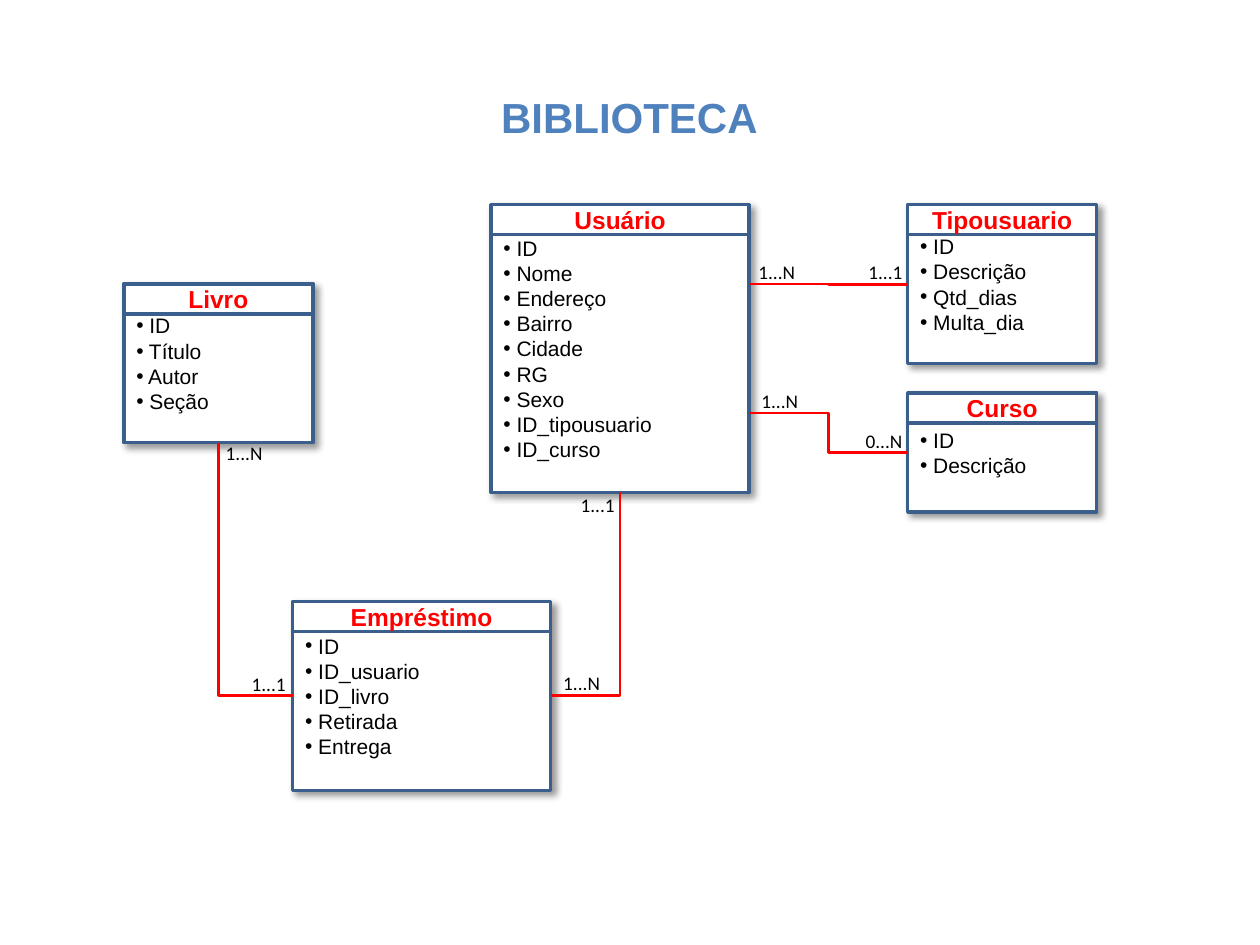
import pptx
import pptx.util
import pptx.dml.color
import pptx.enum.shapes
import pptx.enum.text
import pptx.oxml
import pptx.oxml.ns
import lxml.etree

Pt = pptx.util.Pt
RGBColor = pptx.dml.color.RGBColor
SHAPE = pptx.enum.shapes.MSO_SHAPE
ELBOW = pptx.enum.shapes.MSO_CONNECTOR.ELBOW
ALIGN = pptx.enum.text.PP_ALIGN
ANCHOR = pptx.enum.text.MSO_ANCHOR
AUTO_SIZE = pptx.enum.text.MSO_AUTO_SIZE
qn = pptx.oxml.ns.qn

WHITE = RGBColor(0xFF, 0xFF, 0xFF)
BLACK = RGBColor(0, 0, 0)
RED = RGBColor(0xFF, 0, 0)
NAVY = RGBColor(0x3A, 0x5F, 0x8C)
BLUE = RGBColor(0x4F, 0x81, 0xBD)

HEADER_HEIGHT = 17
ENTITIES = [
    ("Livro", 70.8, 162.3, 108, 90.7, ["ID", "Título", "Autor", "Seção"]),
    ("Usuário", 280.6, 117, 147.5, 164.4,
     ["ID", "Nome", "Endereço", "Bairro", "Cidade", "RG", "Sexo",
      "ID_tipousuario", "ID_curso"]),
    ("Empréstimo", 167.3, 343.8, 147.4, 107.8,
     ["ID", "ID_usuario", "ID_livro", "Retirada", "Entrega"]),
    ("Tipousuario", 518.7, 117, 108, 90.7,
     ["ID", "Descrição", "Qtd_dias", "Multa_dia"]),
    ("Curso", 518.7, 224.6, 108, 68, ["ID", "Descrição"]),
]
RELATIONS = [
    ("bentConnector2", 314.7, 397.6, 354.3, 281.4),
    ("bentConnector2", 167.3, 397.6, 124.8, 253),
    ("bentConnector3", 518.7, 162.6, 428.1, 162.3),
    ("bentConnector3", 518.7, 258.6, 428.1, 236),
]
CARDINALITIES = [
    ("1...N", 121.9, 248.4), ("1...N", 314.8, 380.2),
    ("1...N", 428, 218.9), ("1...N", 426.3, 145.4),
    ("0...N", 487.6, 241.9), ("1...1", 489.1, 145.4),
    ("1...1", 324.7, 278.6), ("1...1", 136.7, 380.5),
]


def format_text(tf, font, size, color, bold=False, align=ALIGN.LEFT):
    for p in tf.paragraphs:
        p.alignment = align
        for r in p.runs:
            r.font.name = font
            r.font.size = Pt(size)
            r.font.bold = bold
            r.font.color.rgb = color


def add_shadow(sp):
    effects = sp._element.spPr.find(qn("a:effectLst"))
    shadow = lxml.etree.SubElement(
        effects, qn("a:outerShdw"), blurRad=str(Pt(4)), dist=str(Pt(3)),
        dir="2700000", algn="tl", rotWithShape="0")
    color = lxml.etree.SubElement(shadow, qn("a:srgbClr"), val=str(BLACK))
    lxml.etree.SubElement(color, qn("a:alpha"), val="40000")


def add_bullet(p):
    pPr = p._p.get_or_add_pPr()
    lxml.etree.SubElement(pPr, qn("a:buFont"), typeface="Arial")
    lxml.etree.SubElement(pPr, qn("a:buChar"), char="•")


def add_box(slide, x, y, w, h, text):
    sp = slide.shapes.add_shape(SHAPE.FLOWCHART_PROCESS, Pt(x), Pt(y), Pt(w), Pt(h))
    sp.shadow.inherit = False
    sp.fill.solid()
    sp.fill.fore_color.rgb = WHITE
    sp.line.color.rgb = NAVY
    sp.line.width = Pt(2)
    tf = sp.text_frame
    tf.word_wrap = True
    tf.vertical_anchor = ANCHOR.MIDDLE
    tf.text = text
    return sp


def add_entity(slide, name, x, y, w, h, fields):
    text = "\n".join(" " + field for field in fields)
    body = add_box(slide, x, y, w, h, text)
    add_shadow(body)
    format_text(body.text_frame, "Arial", 12, BLACK)
    for p in body.text_frame.paragraphs:
        p.line_spacing = Pt(14.4)
        add_bullet(p)
    header = add_box(slide, x, y, w, HEADER_HEIGHT, name)
    format_text(header.text_frame, "Arial", 14, RED, True, ALIGN.CENTER)


def add_relation(slide, kind, x1, y1, x2, y2):
    line = slide.shapes.add_connector(ELBOW, Pt(x1), Pt(y1), Pt(x2), Pt(y2))
    line.line.color.rgb = RED
    line.line.width = Pt(1.5)
    spPr = line._element.spPr
    spPr.find(qn("a:prstGeom")).set("prst", kind)
    lxml.etree.SubElement(spPr, qn("a:effectLst"))


def add_cardinality(slide, text, x, y):
    sp = slide.shapes.add_textbox(Pt(x), Pt(y), Pt(36), Pt(20.6))
    tf = sp.text_frame
    tf.word_wrap = False
    tf.auto_size = AUTO_SIZE.SHAPE_TO_FIT_TEXT
    tf.text = text
    format_text(tf, "Calibri", 11, BLACK)


def set_title(slide, text):
    title = slide.shapes.title
    title.left, title.top, title.width, title.height = Pt(278.3), Pt(48.6), Pt(162.8), Pt(36)
    tf = title.text_frame
    tf.word_wrap = False
    tf.auto_size = AUTO_SIZE.SHAPE_TO_FIT_TEXT
    tf.vertical_anchor = ANCHOR.TOP
    tf.text = text
    format_text(tf, "Arial", 24, BLUE, True, ALIGN.CENTER)


def main():
    prs = pptx.Presentation()
    prs.slide_width, prs.slide_height = Pt(720), Pt(540)
    slide = prs.slides.add_slide(prs.slide_layouts[5])
    set_title(slide, "BIBLIOTECA")
    for entity in ENTITIES:
        add_entity(slide, *entity)
    for relation in RELATIONS:
        add_relation(slide, *relation)
    for cardinality in CARDINALITIES:
        add_cardinality(slide, *cardinality)
    prs.save("out.pptx")


main()
